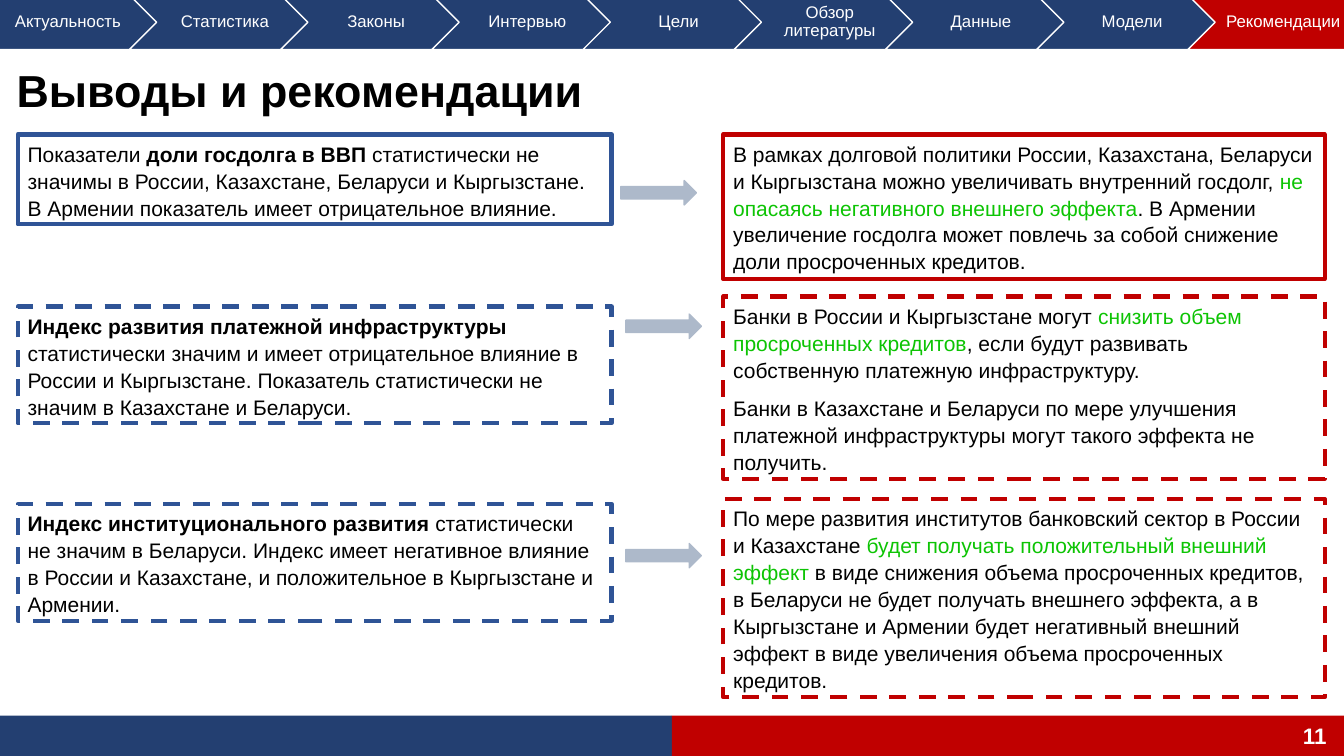
"""Build the slide of conclusions and recommendations on a grid of 160 columns by 90 rows."""
from pptx import Presentation
from pptx.dml.color import RGBColor
from pptx.enum.dml import MSO_LINE
from pptx.enum.shapes import MSO_SHAPE
from pptx.enum.text import MSO_ANCHOR, MSO_AUTO_SIZE, PP_ALIGN
from pptx.util import Inches, Pt

CELL = Inches(1 / 12)
COLUMNS, ROWS = 160, 90
COLORS = {
    "navy": "233F71",
    "blue": "2F5496",
    "red": "C00000",
    "green": "0DC404",
    "arrow": "ADB9CA",
    "white": "FFFFFF",
    "black": "000000",
}
SECTIONS = ["Актуальность", "Статистика", "Законы", "Интервью", "Цели",
            "Обзор литературы", "Данные", "Модели", "Рекомендации"]
FINDINGS = [
    ((2.1, 16, 70.7, 10.7), [[
        ("Показатели ", ""), ("доли госдолга в ВВП ", "bold"),
        ("статистически не значимы в России, Казахстане, Беларуси и Кыргызстане. "
         "В Армении показатель имеет отрицательное влияние.", "")]]),
    ((2.1, 36.5, 70.7, 13.9), [[
        ("Индекс развития платежной инфраструктуры ", "bold"),
        ("статистически значим и имеет отрицательное влияние в России и Кыргызстане. "
         "Показатель статистически не значим в Казахстане и Беларуси.", "")]]),
    ((2.1, 60, 70.7, 13.9), [[
        ("Индекс институционального развития ", "bold"),
        ("статистически не значим в Беларуси. Индекс имеет негативное влияние в России "
         "и Казахстане, и положительное в Кыргызстане и Армении.", "")]]),
]
ADVICE = [
    ((86.1, 16, 71.6, 17.2), [[
        ("В рамках долговой политики России, Казахстана, Беларуси и Кыргызстана можно "
         "увеличивать внутренний госдолг, ", ""),
        ("не опасаясь негативного внешнего эффекта", "green"),
        (". В Армении увеличение госдолга может повлечь за собой снижение доли "
         "просроченных кредитов.", "")]]),
    ((86.1, 35.3, 71.6, 21.7), [
        [("Банки в России и Кыргызстане могут ", ""),
         ("снизить объем просроченных кредитов", "green"),
         (", если будут развивать собственную платежную инфраструктуру.", "")],
        [("Банки в Казахстане и Беларуси по мере улучшения платежной инфраструктуры "
          "могут такого эффекта не получить.", "")]]),
    ((86.1, 59.4, 71.6, 23.6), [[
        ("По мере развития институтов банковский сектор в России и Казахстане ", ""),
        ("будет получать положительный внешний эффект", "green"),
        (" в виде снижения объема просроченных кредитов, в Беларуси не будет получать "
         "внешнего эффекта, а в Кыргызстане и Армении будет негативный внешний эффект "
         "в виде увеличения объема просроченных кредитов.", "")]]),
]
ARROWS = [(73.9, 21.5), (74.5, 37.4), (74.5, 64.7)]


def color(name):
    """Return a named colour."""
    return RGBColor.from_string(COLORS[name])


def place(area):
    """Turn grid columns and rows into slide lengths."""
    return [round(CELL * length) for length in area]


def set_font(paragraph, size, name, bold=False):
    """Set the font of a whole paragraph."""
    font = paragraph.font
    font.name, font.size, font.bold = "Arial", Pt(size), bold
    font.color.rgb = color(name)


def add_figure(slide, kind, area, fill=None, line=None, width=1):
    """Add a preset shape with an optional fill and outline."""
    shape = slide.shapes.add_shape(kind, *place(area))
    shape.shadow.inherit = False
    if fill:
        shape.fill.solid()
        shape.fill.fore_color.rgb = color(fill)
    else:
        shape.fill.background()
    if line:
        shape.line.color.rgb = color(line)
        shape.line.width = Pt(width)
    else:
        shape.line.fill.background()
    return shape


def add_label(slide, area, text, size, name, alignment):
    """Add a bold single line of text, centred vertically."""
    frame = slide.shapes.add_textbox(*place(area)).text_frame
    frame.word_wrap = True
    frame.vertical_anchor = MSO_ANCHOR.MIDDLE
    paragraph = frame.paragraphs[0]
    paragraph.text = text
    paragraph.alignment = alignment
    set_font(paragraph, size, name, bold=True)


def add_section(slide, index, title):
    """Add one step of the navigation strip."""
    kind = MSO_SHAPE.CHEVRON if index else MSO_SHAPE.PENTAGON
    fill = "red" if index == len(SECTIONS) - 1 else "navy"
    shape = add_figure(slide, kind, (-2.6 + 18 * index, -0.6, 22.4, 6.5), fill, "white")
    frame = shape.text_frame
    frame.word_wrap = True
    frame.vertical_anchor = MSO_ANCHOR.MIDDLE
    frame.margin_left = Inches(0.05 if index else 0.07)
    frame.margin_right = Inches(0.02)
    frame.margin_top = frame.margin_bottom = Inches(0.04)
    paragraph = frame.paragraphs[0]
    paragraph.text = title
    paragraph.alignment = PP_ALIGN.CENTER
    paragraph.line_spacing = 0.9
    set_font(paragraph, 12, "white")


def add_statement(slide, area, paragraphs, line, dashed):
    """Add an outlined box of text with highlighted runs."""
    shape = add_figure(slide, MSO_SHAPE.RECTANGLE, area, line=line, width=3)
    if dashed:
        shape.line.dash_style = MSO_LINE.DASH
    frame = shape.text_frame
    frame.word_wrap = True
    frame.auto_size = MSO_AUTO_SIZE.SHAPE_TO_FIT_TEXT
    frame.vertical_anchor = MSO_ANCHOR.TOP
    for index, pieces in enumerate(paragraphs):
        paragraph = frame.add_paragraph() if index else frame.paragraphs[0]
        paragraph.alignment = PP_ALIGN.LEFT
        paragraph.line_spacing = 1.07
        paragraph.space_after = Pt(8)
        set_font(paragraph, 15, "black")
        for text, style in pieces:
            run = paragraph.add_run()
            run.text = text
            if style == "bold":
                run.font.bold = True
            elif style:
                run.font.color.rgb = color(style)


def main():
    """Build and save the slide."""
    presentation = Presentation()
    presentation.slide_width, presentation.slide_height = place((COLUMNS, ROWS))
    slide = presentation.slides.add_slide(presentation.slide_layouts[6])

    for column, fill in ((0, "navy"), (COLUMNS / 2, "red")):
        add_figure(slide, MSO_SHAPE.RECTANGLE, (column, 85.2, COLUMNS / 2, 4.8), fill)
    add_label(slide, (123.1, 85.2, 36, 4.8), "11", 16, "white", PP_ALIGN.RIGHT)
    add_label(slide, (0.8, 6.4, 92.8, 8.6), "Выводы и рекомендации", 32, "black", PP_ALIGN.LEFT)

    for index, title in enumerate(SECTIONS):
        add_section(slide, index, title)
    for statements, line in ((FINDINGS, "blue"), (ADVICE, "red")):
        for index, (area, paragraphs) in enumerate(statements):
            add_statement(slide, area, paragraphs, line, dashed=index > 0)
    for column, row in ARROWS:
        add_figure(slide, MSO_SHAPE.RIGHT_ARROW, (column, row, 9, 2.9), "arrow", "arrow")

    presentation.save("out.pptx")


if __name__ == "__main__":
    main()
